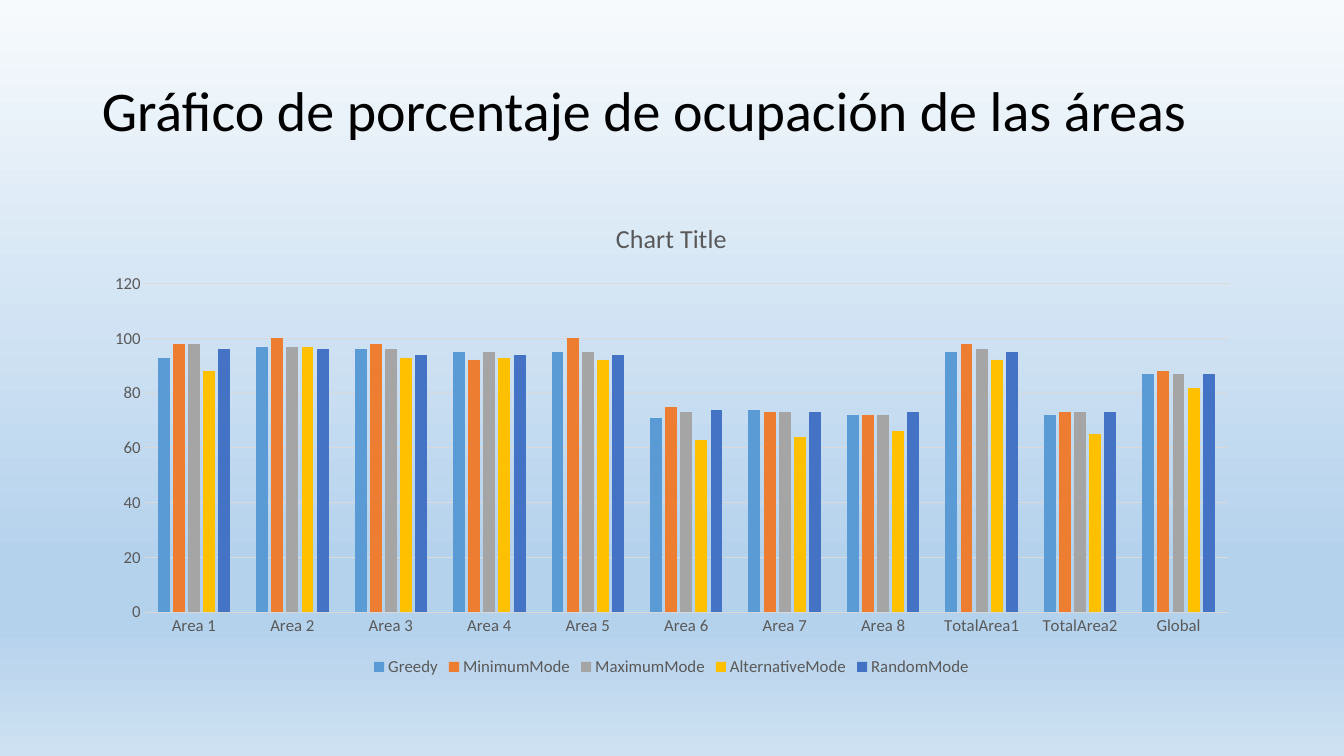
from lxml import etree
from pptx import Presentation
from pptx.chart.data import CategoryChartData
from pptx.dml.color import RGBColor
from pptx.enum.chart import XL_CHART_TYPE, XL_LEGEND_POSITION, XL_TICK_MARK
from pptx.enum.text import MSO_ANCHOR
from pptx.oxml.ns import qn
from pptx.util import Emu, Pt

FONT = "Calibri"
GREY, RULE = "595959", "D9D9D9"
BACKGROUND = [(0, "F7FAFD"), (74, "B5D2EC"), (83, "B5D2EC"), (100, "CEE1F2")]
AREAS = [f"Area {n}" for n in range(1, 9)] + ["TotalArea1", "TotalArea2", "Global"]
MODES = [
    ("Greedy", "5B9BD5", (93, 97, 96, 95, 95, 71, 74, 72, 95, 72, 87)),
    ("MinimumMode", "ED7D31", (98, 100, 98, 92, 100, 75, 73, 72, 98, 73, 88)),
    ("MaximumMode", "A5A5A5", (98, 97, 96, 95, 95, 73, 73, 72, 96, 73, 87)),
    ("AlternativeMode", "FFC000", (88, 97, 93, 93, 92, 63, 64, 66, 92, 65, 82)),
    ("RandomMode", "4472C4", (96, 96, 94, 94, 94, 74, 73, 73, 95, 73, 87)),
]


def px(n):
    return Emu(round(n * 914400 / 100.8))


def rgb(value):
    return RGBColor.from_string(value)


def set_font(font, size, color):
    for name, value in {"name": FONT, "size": Pt(size), "bold": False}.items():
        setattr(font, name, value)
    font.color.rgb = rgb(color)


def set_line(line, color):
    line.color.rgb = rgb(color)
    line.width = Pt(0.75)


def paint_background(s):
    fill = s.background.fill
    fill.gradient()
    fill.gradient_angle = 270
    stops = s.element.find(".//" + qn("a:gsLst"))
    for stop in list(stops):
        stops.remove(stop)
    for percent, color in BACKGROUND:
        stop = etree.SubElement(stops, qn("a:gs"), pos=str(percent * 1000))
        etree.SubElement(stop, qn("a:srgbClr"), val=color)


def add_title(s, x, y, w, h):
    tf = s.shapes.add_textbox(px(x), px(y), px(w), px(h)).text_frame
    tf.word_wrap = True
    tf.vertical_anchor = MSO_ANCHOR.MIDDLE
    p = tf.paragraphs[0]
    p.line_spacing = 0.9
    r = p.add_run()
    r.text = "Gráfico de porcentaje de ocupación de las áreas"
    set_font(r.font, 40, "000000")


def add_occupancy_chart(s, x, y, w, h):
    data = CategoryChartData(number_format="General")
    data.categories = AREAS
    for name, _, values in MODES:
        data.add_series(name, values)
    chart = s.shapes.add_chart(XL_CHART_TYPE.COLUMN_CLUSTERED,
                               px(x), px(y), px(w), px(h), data).chart
    set_font(chart.font, 10, "000000")

    # Chart title
    chart.has_title = True
    tf = chart.chart_title.text_frame
    tf.text = "Chart Title"
    set_font(tf.paragraphs[0].runs[0].font, 18.6, GREY)
    chart.chart_title.include_in_layout = False

    # Legend
    chart.has_legend = True
    chart.legend.position = XL_LEGEND_POSITION.BOTTOM
    chart.legend.include_in_layout = False
    set_font(chart.legend.font, 12, GREY)

    # Axes
    for axis in (chart.category_axis, chart.value_axis):
        axis.major_tick_mark = axis.minor_tick_mark = XL_TICK_MARK.NONE
        set_font(axis.tick_labels.font, 12, GREY)
    set_line(chart.category_axis.format.line, RULE)
    value_axis = chart.value_axis
    value_axis.format.line.fill.background()
    value_axis.minimum_scale, value_axis.maximum_scale = 0, 120
    value_axis.major_unit = 20
    set_line(value_axis.major_gridlines.format.line, RULE)

    # Columns
    plot = chart.plots[0]
    for name, value in {"gap_width": 219, "overlap": -27, "vary_by_categories": False}.items():
        setattr(plot, name, value)
    for series, (_, color, _) in zip(plot.series, MODES):
        series.format.fill.solid()
        series.format.fill.fore_color.rgb = rgb(color)


def main():
    prs = Presentation()
    prs.slide_width, prs.slide_height = px(1344), px(756)
    s = prs.slides.add_slide(prs.slide_layouts[6])
    paint_background(s)
    add_title(s, 92, 40, 1159, 146)
    add_occupancy_chart(s, 92, 201, 1159, 480)
    prs.save("out.pptx")


if __name__ == "__main__":
    main()
